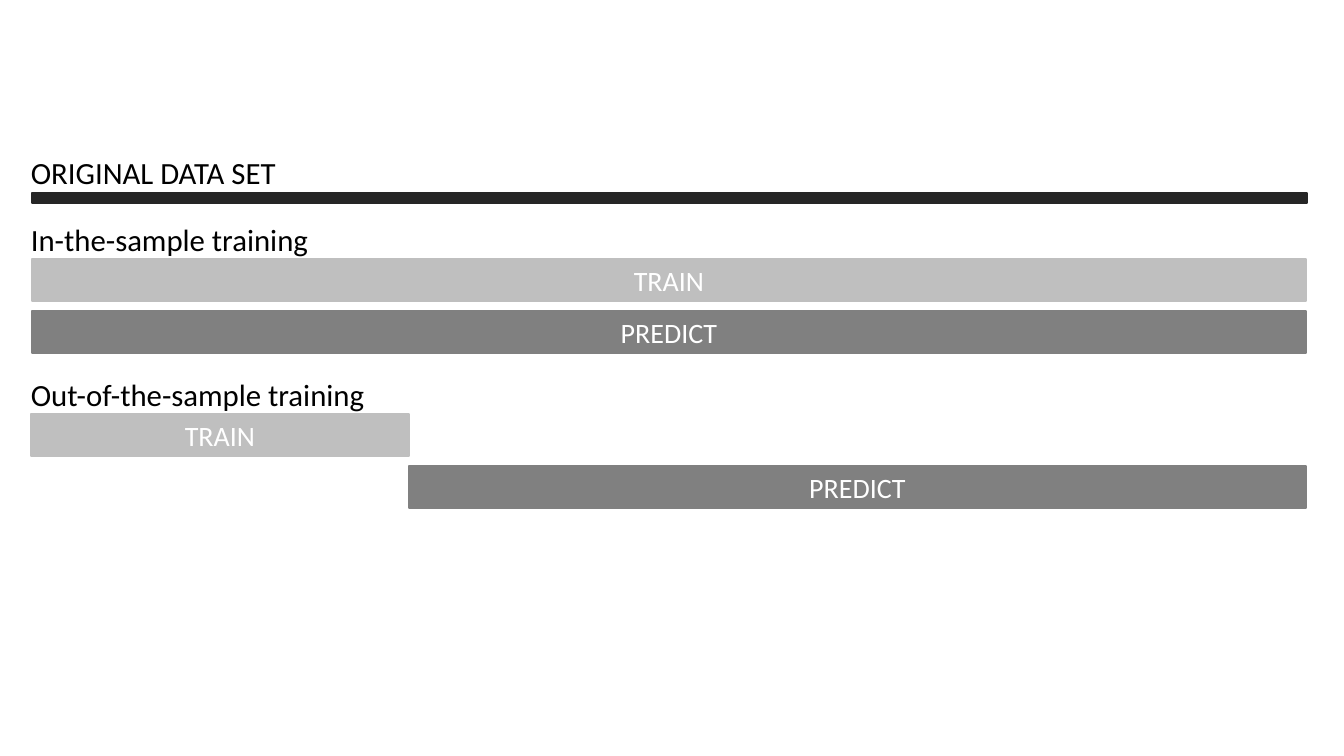
from pptx import Presentation
from pptx.dml.color import RGBColor as Rgb
from pptx.enum.shapes import MSO_SHAPE as Kind
from pptx.enum.text import MSO_ANCHOR as Anchor, PP_ALIGN as Align
from pptx.util import Pt

SCALE = 914400 / 100.8
COLORS = {"text": "000000", "white": "FFFFFF", "data": "262626",
          "train": "BFBFBF", "predict": "808080"}


def emu(*sizes):
    return [round(size * SCALE) for size in sizes]


class Board:
    font = "Calibri"

    def __init__(self, slide):
        self.slide = slide

    def color(self, name):
        return Rgb.from_string(COLORS[name])

    def put_text(self, frame, text, size, color, align, **form):
        for key, value in form.items():
            setattr(frame, key, value)
        para = frame.paragraphs[0]
        para.alignment = align
        run = para.add_run()
        run.text = text
        for key, value in {"name": self.font, "size": Pt(size)}.items():
            setattr(run.font, key, value)
        run.font.color.rgb = self.color(color)

    def label(self, text, top, width):
        box = self.slide.shapes.add_textbox(*emu(21, top, width, 47))
        self.put_text(box.text_frame, text, 22, "text", Align.LEFT,
                      word_wrap=True)

    def bar(self, color, left, top, width, height, text=""):
        bar = self.slide.shapes.add_shape(
            Kind.RECTANGLE, *emu(left, top, width, height))
        bar.shadow.inherit = False
        bar.fill.solid()
        bar.fill.fore_color.rgb = self.color(color)
        bar.line.color.rgb = self.color(color)
        bar.line.width = Pt(1)
        if text:
            self.put_text(bar.text_frame, text, 20, "white", Align.CENTER,
                          word_wrap=True, vertical_anchor=Anchor.MIDDLE)


deck = Presentation()
deck.slide_width, deck.slide_height = emu(1344, 756)
board = Board(deck.slides.add_slide(deck.slide_layouts[6]))

# Full data set
board.label("ORIGINAL DATA SET", 149, 460)
board.bar("data", 32, 193, 1275, 10)

# Training schemes: label, top, label width, (left, width) of each bar
schemes = [
    ("In-the-sample training", 216, 489, (32, 1274), (32, 1274)),
    ("Out-of-the-sample training", 371, 592, (31, 378), (409, 897)),
]
for title, top, width, *spans in schemes:
    for row, (name, (left, span)) in enumerate(zip(("train", "predict"), spans)):
        board.bar(name, left, top + 43 + 52 * row, span, 42, name.upper())
    board.label(title, top, width)

deck.save("out.pptx")
